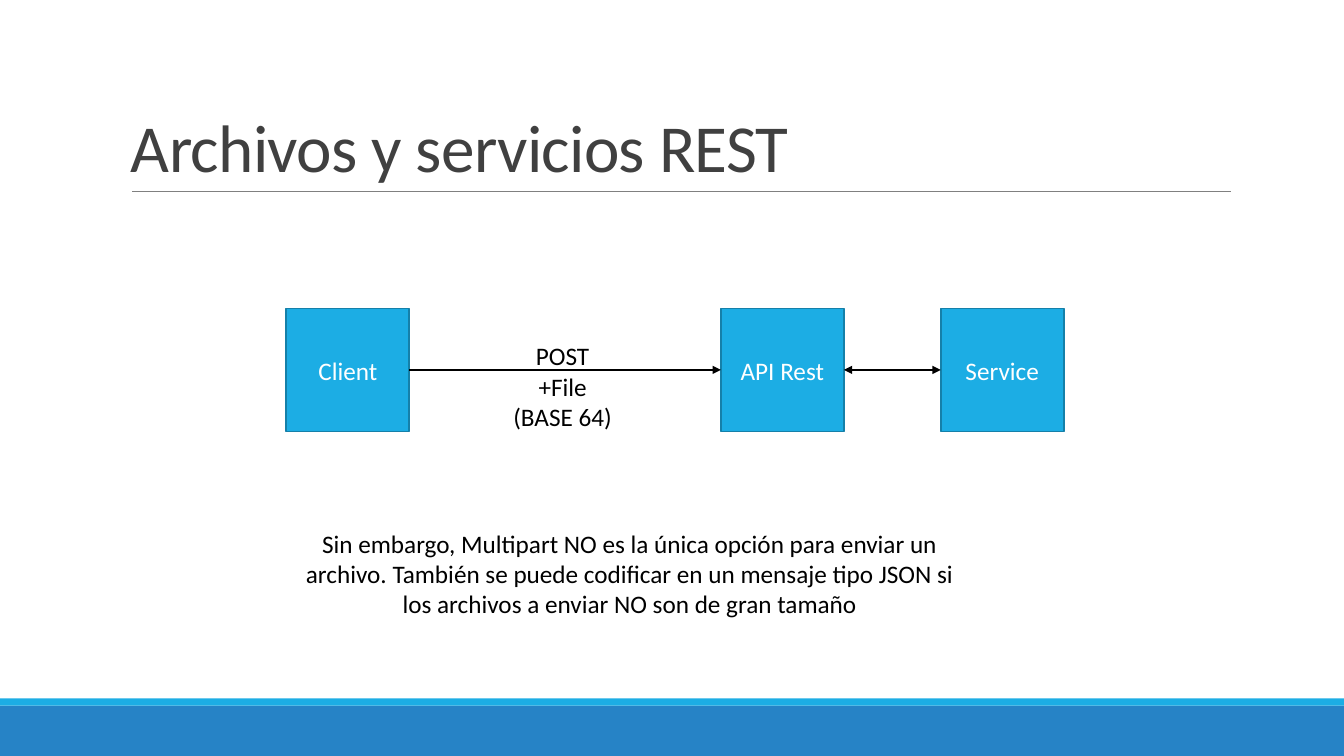
import pptx
import pptx.util
import pptx.dml.color
import pptx.enum.shapes
import pptx.enum.text
import pptx.oxml.ns
from lxml import etree

Inches = pptx.util.Inches
RGBColor = pptx.dml.color.RGBColor
Align = pptx.enum.text.PP_ALIGN
Anchor = pptx.enum.text.MSO_ANCHOR

BLUE = RGBColor(0x26, 0x83, 0xC6)
CYAN = RGBColor(0x1C, 0xAD, 0xE4)
CYAN_DARK = RGBColor(0x15, 0x80, 0xA9)
GRAY = RGBColor(0x80, 0x80, 0x80)
CHARCOAL = RGBColor(0x40, 0x40, 0x40)
BLACK = RGBColor(0, 0, 0)
WHITE = RGBColor(255, 255, 255)

NODE_SIZE = 1.22
NODE_TOP = 3.06
NODE_LEFTS = {"Client": 2.84, "API Rest": 7.15, "Service": 9.33}


def write_text(shape, text, size=18, color=BLACK, align=Align.CENTER,
               anchor=Anchor.TOP, line_spacing=None, tracking=None):
    """Fill a shape with one paragraph per line of text."""
    frame = shape.text_frame
    frame.word_wrap = True
    frame.vertical_anchor = anchor
    frame.text = text
    for para in frame.paragraphs:
        para.alignment = align
        para.line_spacing = line_spacing
        for span in para.runs:
            span.font.name = "Calibri"
            span.font.size = pptx.util.Pt(size)
            span.font.color.rgb = color
            if tracking is not None:
                span.font._element.set("spc", str(round(tracking * 100)))


def add_text(page, left, top, width, height, text, **text_format):
    """Add a text box."""
    box = page.shapes.add_textbox(
        Inches(left), Inches(top), Inches(width), Inches(height))
    write_text(box, text, **text_format)


def add_rectangle(page, left, top, width, height, fill, outline=None):
    """Add a flat rectangle with an optional outline."""
    box = page.shapes.add_shape(
        pptx.enum.shapes.MSO_SHAPE.RECTANGLE,
        Inches(left), Inches(top), Inches(width), Inches(height))
    box.shadow.inherit = False
    box.fill.solid()
    box.fill.fore_color.rgb = fill
    if outline is None:
        box.line.fill.background()
    else:
        box.line.color.rgb = outline
        box.line.width = pptx.util.Pt(1.25)
    return box


def add_node(page, name):
    """Add a labelled square of the diagram."""
    box = add_rectangle(page, NODE_LEFTS[name], NODE_TOP, NODE_SIZE, NODE_SIZE,
                        CYAN, CYAN_DARK)
    write_text(box, name, color=WHITE, anchor=Anchor.MIDDLE)


def add_line(page, start, end, y, color=BLACK, width=1, arrowheads=()):
    """Add a horizontal line with arrowheads at the named ends."""
    line = page.shapes.add_connector(
        pptx.enum.shapes.MSO_CONNECTOR.STRAIGHT,
        Inches(start), Inches(y), Inches(end), Inches(y))
    line.line.color.rgb = color
    line.line.width = pptx.util.Pt(width)
    outline = line.line._get_or_add_ln()
    for name in arrowheads:
        etree.SubElement(outline, pptx.oxml.ns.qn("a:" + name), type="triangle")
    etree.SubElement(line._element.spPr, pptx.oxml.ns.qn("a:effectLst"))


def link_nodes(page, source, target, arrowheads):
    """Join the facing sides of two nodes."""
    add_line(page, NODE_LEFTS[source] + NODE_SIZE, NODE_LEFTS[target],
             NODE_TOP + NODE_SIZE / 2, arrowheads=arrowheads)


def main():
    """Build the slide and save it."""
    deck = pptx.Presentation()
    deck.slide_width = Inches(13.33)
    deck.slide_height = Inches(7.5)
    page = deck.slides.add_slide(deck.slide_layouts[6])

    add_rectangle(page, 0, 7, 13.33, 0.5, BLUE)
    add_rectangle(page, 0, 6.93, 13.33, 0.07, CYAN)
    add_line(page, 1.31, 12.21, 1.9, color=GRAY, width=0.5)
    add_text(page, 1.2, 0.31, 11, 1.59, "Archivos y servicios REST", size=48,
             color=CHARCOAL, align=Align.LEFT, anchor=Anchor.BOTTOM,
             line_spacing=0.85, tracking=-0.5)

    for name in NODE_LEFTS:
        add_node(page, name)
    link_nodes(page, "API Rest", "Service", ("headEnd", "tailEnd"))
    link_nodes(page, "Client", "API Rest", ("tailEnd",))

    add_text(page, 4.34, 3.33, 2.48, 1.01, "POST\n+File\n(BASE 64)")
    add_text(page, 2.91, 5.19, 6.67, 1.01,
             "Sin embargo, Multipart NO es la única opción para enviar un "
             "archivo. También se puede codificar en un mensaje tipo JSON si "
             "los archivos a enviar NO son de gran tamaño")
    deck.save("out.pptx")


if __name__ == "__main__":
    main()
